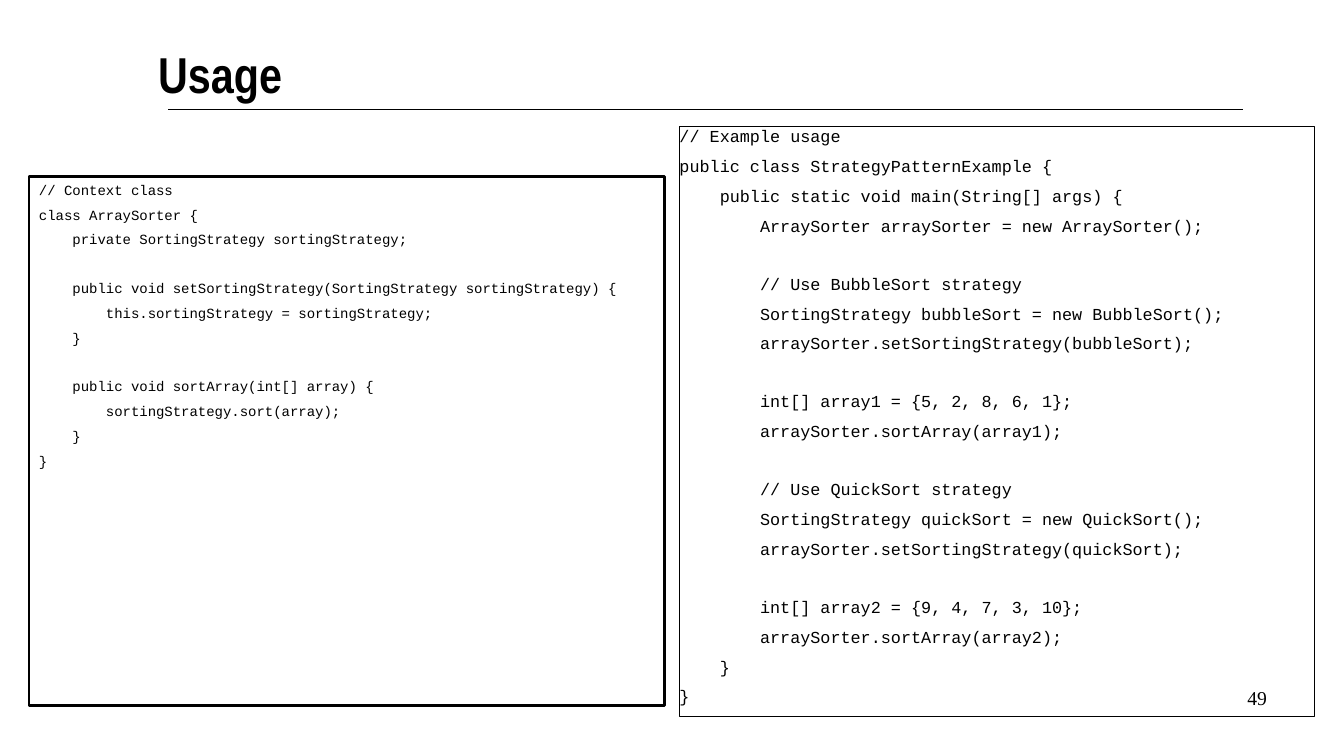
"""Build the strategy pattern usage slide with its two code panels."""
import lxml.etree
import pptx
import pptx.dml.color
import pptx.enum.shapes
import pptx.enum.text
import pptx.oxml.ns
import pptx.util

PX = 9080
THEME = {
    "ink": pptx.dml.color.RGBColor(0, 0, 0),
    "paper": pptx.dml.color.RGBColor(255, 255, 255),
    "title": ("Arial Narrow", 36),
    "number": ("Times New Roman", 14),
    "code": "Courier New",
    "usage_size": 12,
    "context_size": 10,
}
LINE_HEIGHT = 1.133
CODE_GAP = LINE_HEIGHT / 2

USAGE_CODE = """\
// Example usage
public class StrategyPatternExample {
    public static void main(String[] args) {
        ArraySorter arraySorter = new ArraySorter();

        // Use BubbleSort strategy
        SortingStrategy bubbleSort = new BubbleSort();
        arraySorter.setSortingStrategy(bubbleSort);

        int[] array1 = {5, 2, 8, 6, 1};
        arraySorter.sortArray(array1);

        // Use QuickSort strategy
        SortingStrategy quickSort = new QuickSort();
        arraySorter.setSortingStrategy(quickSort);

        int[] array2 = {9, 4, 7, 3, 10};
        arraySorter.sortArray(array2);
    }
}"""

CONTEXT_CODE = """\
// Context class
class ArraySorter {
    private SortingStrategy sortingStrategy;

    public void setSortingStrategy(SortingStrategy sortingStrategy) {
        this.sortingStrategy = sortingStrategy;
    }

    public void sortArray(int[] array) {
        sortingStrategy.sort(array);
    }
}"""


def add_span(para, text, font, size):
    span = para.add_run()
    span.text = text
    span.font.name = font
    span.font.size = pptx.util.Pt(size)
    span.font.color.rgb = THEME["ink"]
    return span


def set_frame(box, side, top, anchor=pptx.enum.text.MSO_ANCHOR.TOP):
    frame = box.text_frame
    frame.word_wrap = True
    frame.vertical_anchor = anchor
    frame.margin_left = frame.margin_right = side * PX
    frame.margin_top = frame.margin_bottom = top * PX
    return frame


deck = pptx.Presentation()
deck.slide_width = 1343 * PX
deck.slide_height = 755 * PX
page = deck.slides.add_slide(deck.slide_layouts[6])

rule = page.shapes.add_connector(
    pptx.enum.shapes.MSO_CONNECTOR.STRAIGHT, 168 * PX, 109 * PX, 1242 * PX, 109 * PX)
rule.line.color.rgb = THEME["ink"]
rule.line.width = pptx.util.Pt(0.75)
lxml.etree.SubElement(rule._element.spPr, pptx.oxml.ns.qn("a:effectLst"))

title = page.shapes.add_textbox(158 * PX, 39 * PX, 1027 * PX, 76 * PX)
para = set_frame(title, 0, 0, pptx.enum.text.MSO_ANCHOR.MIDDLE).paragraphs[0]
para.line_spacing = 0.9
add_span(para, "Usage", *THEME["title"]).font.bold = True

panels = [
    (USAGE_CODE, 679, 126, 590, THEME["usage_size"], 0.75, 0, 0),
    (CONTEXT_CODE, 29, 176, 529, THEME["context_size"], 2, 10, 5),
]
for code, left, top, height, size, border, side_inset, top_inset in panels:
    panel = page.shapes.add_shape(
        pptx.enum.shapes.MSO_SHAPE.RECTANGLE, left * PX, top * PX, 635 * PX, height * PX)
    panel.shadow.inherit = False
    panel.fill.solid()
    panel.fill.fore_color.rgb = THEME["paper"]
    panel.line.color.rgb = THEME["ink"]
    panel.line.width = pptx.util.Pt(border)
    frame = set_frame(panel, side_inset, top_inset)
    for group_index, group in enumerate(code.split("\n\n")):
        for line_index, line in enumerate(group.split("\n")):
            first = group_index == line_index == 0
            para = frame.paragraphs[0] if first else frame.add_paragraph()
            para.alignment = pptx.enum.text.PP_ALIGN.LEFT
            if not first:
                skipped = LINE_HEIGHT + CODE_GAP if line_index == 0 else 0
                para.space_before = pptx.util.Pt(round(size * (CODE_GAP + skipped), 1))
            add_span(para, line, THEME["code"], size)

number = page.shapes.add_textbox(996 * PX, 680 * PX, 280 * PX, 50 * PX)
para = set_frame(number, 10, 5).paragraphs[0]
para.alignment = pptx.enum.text.PP_ALIGN.RIGHT
add_span(para, "49", *THEME["number"])

deck.save("out.pptx")
